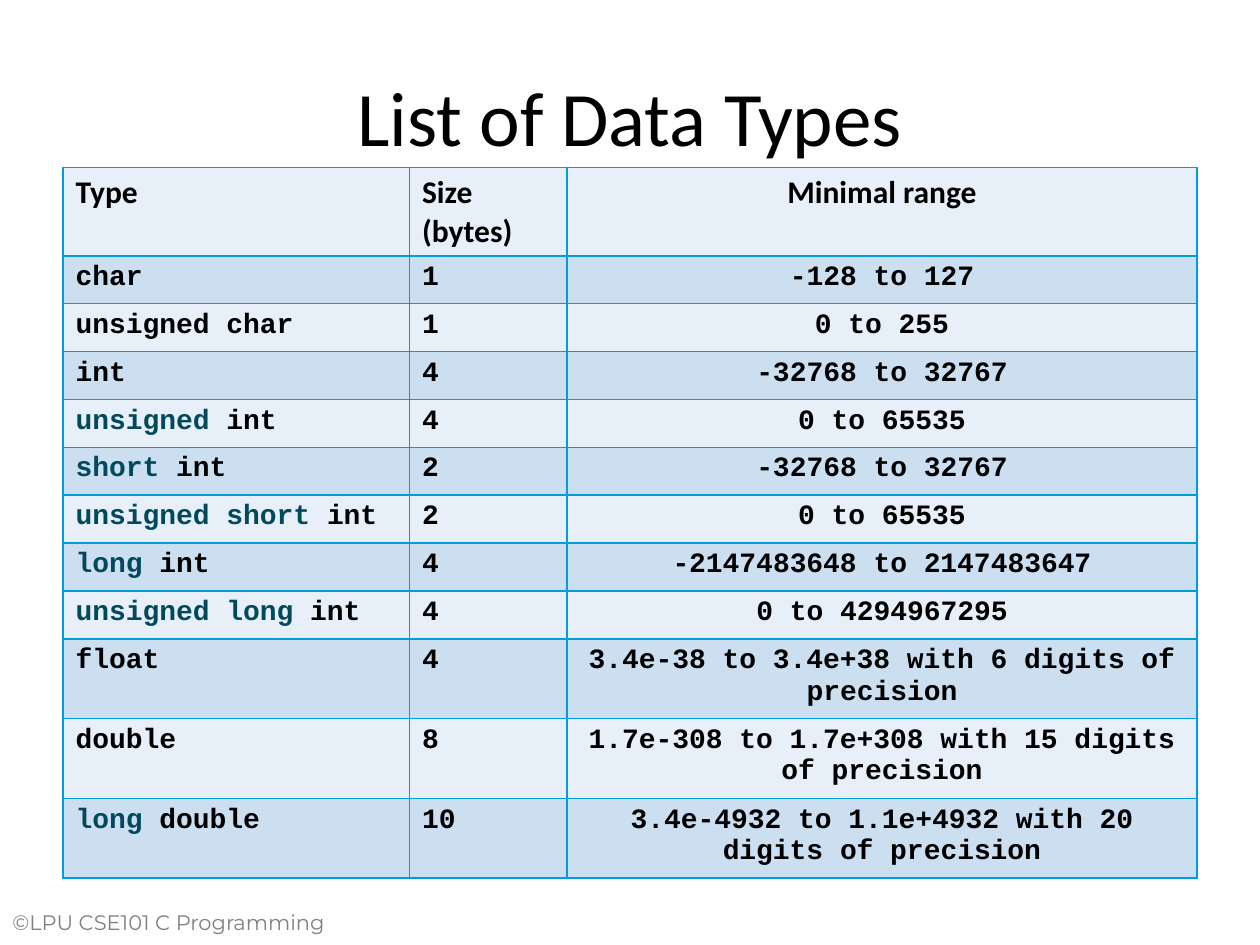
from lxml.etree import SubElement
from pptx import Presentation
from pptx.dml.color import RGBColor
from pptx.enum.text import MSO_ANCHOR, PP_ALIGN
from pptx.oxml.ns import qn
from pptx.util import Inches, Pt

INK = {"text": "000000", "mod": "03495C", "foot": "808080",
       "line": "009DD9", "light": "E7EFF8", "dark": "CCDFF1"}
HEADS = ["Type", "Size (bytes)", "Minimal range"]
TYPES = [
    ("", "char", "1", "-128 to 127"),
    ("", "unsigned char", "1", "0 to 255"),
    ("", "int", "4", "-32768 to 32767"),
    ("unsigned ", "int", "4", "0 to 65535"),
    ("short ", "int", "2", "-32768 to 32767"),
    ("unsigned short ", "int", "2", "0 to 65535"),
    ("long ", "int", "4", "-2147483648 to 2147483647"),
    ("unsigned long ", "int", "4", "0 to 4294967295"),
    ("", "float", "4", "3.4e-38 to 3.4e+38 with 6 digits of precision"),
    ("", "double", "8", "1.7e-308 to 1.7e+308 with 15 digits of precision"),
    ("long ", "double", "10", "3.4e-4932 to 1.1e+4932 with 20 digits of precision"),
]
WIDTHS = [2.75, 1.25, 5]


def add_run(para, text, size, face, ink="text", bold=False):
    """Append one formatted run to a paragraph."""
    run = para.add_run()
    run.text = text
    font = run.font
    font.size, font.name, font.bold = Pt(size), face, bold
    font.color.rgb = RGBColor.from_string(INK[ink])


def add_edge(cell):
    """Draw a thin line on all four sides of a cell."""
    props = cell._tc.get_or_add_tcPr()
    for i, side in enumerate(("lnL", "lnR", "lnT", "lnB")):
        line = props.makeelement(qn(f"a:{side}"), {"w": str(Pt(1))})
        fill = SubElement(line, qn("a:solidFill"))
        SubElement(fill, qn("a:srgbClr"), val=INK["line"])
        props.insert(i, line)


def fill_cell(cell, runs, shade, align, size, face):
    """Write the runs of a cell and set its fill and border."""
    cell.fill.solid()
    cell.fill.fore_color.rgb = RGBColor.from_string(INK[shade])
    para = cell.text_frame.paragraphs[0]
    para.alignment = align
    for text, ink in runs:
        add_run(para, text, size, face, ink, True)
    add_edge(cell)


def add_grid(slide):
    """Build the table of data types."""
    rows = [[[(head, "text")] for head in HEADS]]
    for mod, base, size, span in TYPES:
        name = [(mod, "mod")] if mod else []
        rows.append([name + [(base, "text")], [(size, "text")], [(span, "text")]])
    grid = slide.shapes.add_table(
        len(rows), len(WIDTHS), Inches(0.5), Inches(1.33),
        Inches(sum(WIDTHS)), Inches(0.38 * len(rows))).table
    for col, width in zip(grid.columns, WIDTHS):
        col.width = Inches(width)
    for r, row in enumerate(rows):
        shade = "dark" if r % 2 else "light"
        size, face = (16, "Courier New") if r else (18, "Calibri")
        for c, runs in enumerate(row):
            align = PP_ALIGN.CENTER if c == 2 else PP_ALIGN.LEFT
            fill_cell(grid.cell(r, c), runs, shade, align, size, face)


def add_title(slide, text):
    """Place and fill the title."""
    title = slide.shapes.title
    title.left, title.top = Inches(0.5), Inches(0.33)
    title.width, title.height = Inches(9), Inches(1.17)
    frame = title.text_frame
    frame.vertical_anchor = MSO_ANCHOR.MIDDLE
    para = frame.paragraphs[0]
    para.alignment = PP_ALIGN.CENTER
    add_run(para, text, 44, "Calibri")


def add_foot(slide, text):
    """Add the copyright line at the bottom left."""
    box = slide.shapes.add_textbox(Inches(0), Inches(7.17), Inches(3), Inches(0.42))
    box.text_frame.word_wrap = True
    add_run(box.text_frame.paragraphs[0], text, 12, "Montserrat", "foot")


def main():
    """Build and save the slide."""
    deck = Presentation()
    deck.slide_width, deck.slide_height = Inches(10), Inches(7.5)
    slide = deck.slides.add_slide(deck.slide_layouts[5])
    add_foot(slide, "©LPU CSE101 C Programming")
    add_title(slide, "List of Data Types")
    add_grid(slide)
    deck.save("out.pptx")


if __name__ == "__main__":
    main()
